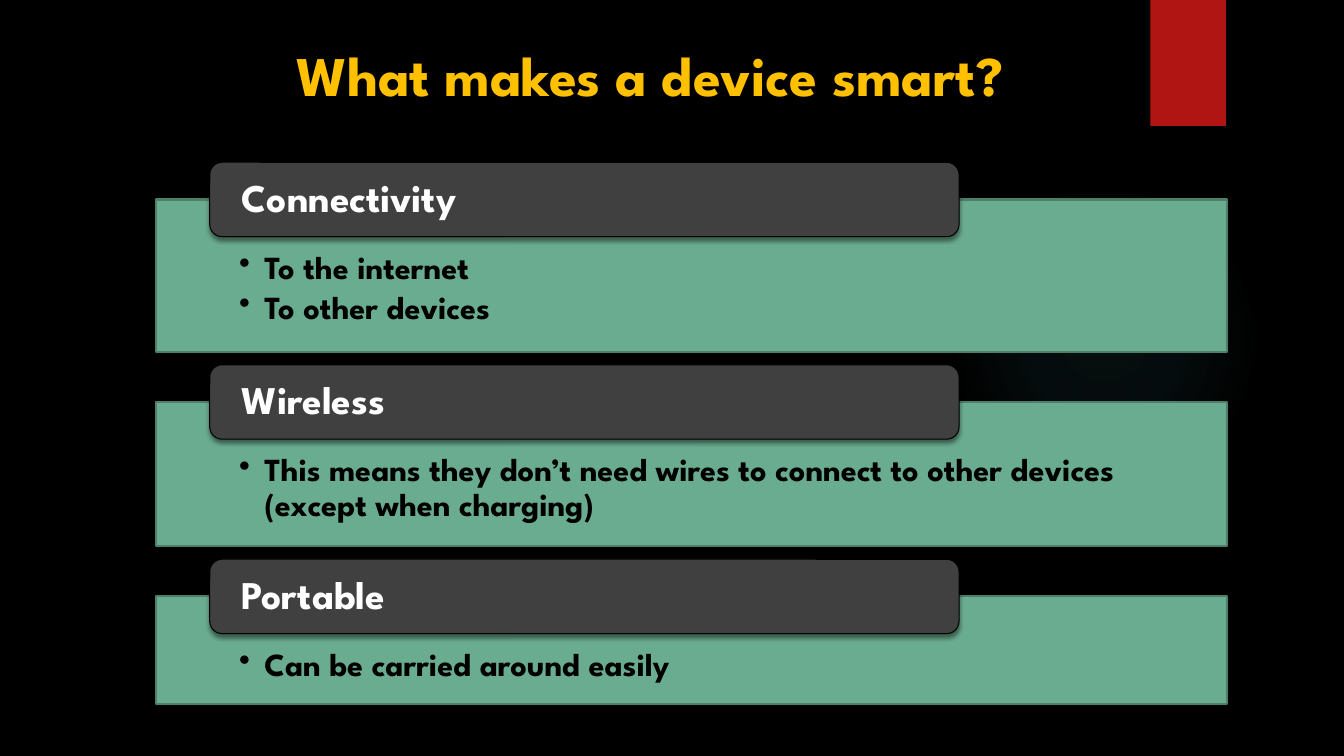
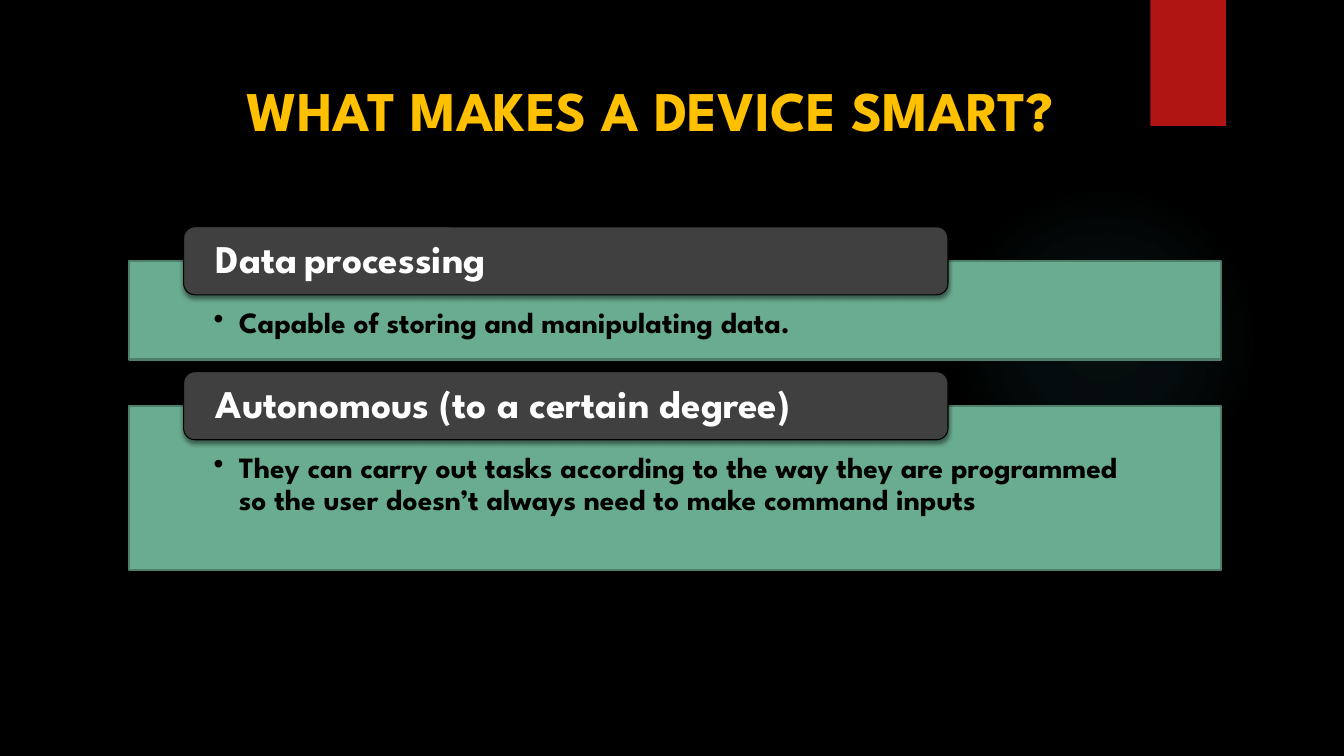
"""Build two slides on what makes a device smart."""
from dataclasses import dataclass
from lxml import etree
from pptx import Presentation, oxml, util as u
from pptx.dml.color import RGBColor as Rgb
from pptx.enum import shapes, text
from pptx.oxml import ns


@dataclass(frozen=True)
class Theme:
    face: str = "League Spartan"
    back: str = "000000"
    title: str = "FFC000"
    bar: str = "6AAC90"
    edge: str = "4E7F6B"
    tab: str = "404040"
    light: str = "FFFFFF"
    dark: str = "000000"
    ribbon: str = "B01513"
    glow: str = "50B9C1"
    big: int = 40
    head: int = 28


look = Theme()
deck = Presentation()
deck.slide_width, deck.slide_height = u.Inches(13.333), u.Inches(7.5)
COLS = 160
cell = deck.slide_width / COLS


def draw(page, kind, area, fill, line=None, width=0, shade=False):
    shape = page.shapes.add_shape(kind, *(int(n * cell) for n in area))
    shape.fill.solid()
    shape.fill.fore_color.rgb = Rgb.from_string(fill)
    if line:
        shape.line.color.rgb = Rgb.from_string(line)
        shape.line.width = u.Pt(width)
    else:
        shape.line.fill.background()
    shape.shadow.inherit = False
    if shade:
        list_ = shape._element.spPr.find(ns.qn("a:effectLst"))
        drop = etree.SubElement(list_, ns.qn("a:outerShdw"), blurRad=str(u.Pt(3)),
                                dist=str(u.Pt(2)), dir="5400000", rotWithShape="0")
        tint = etree.SubElement(drop, ns.qn("a:srgbClr"), val="000000")
        etree.SubElement(tint, ns.qn("a:alpha"), val="45000")
    return shape


def write(para, words, size, color, bold=True):
    run = para.add_run()
    run.text = words
    run.font.name, run.font.size, run.font.bold = look.face, u.Pt(size), bold
    run.font.color.rgb = Rgb.from_string(color)


master = deck.slide_master
master.background.fill.solid()
master.background.fill.fore_color.rgb = Rgb.from_string(look.back)
plan = deck.slide_layouts[5]

pages = [
    dict(title="What makes a device smart?", anchor=text.MSO_ANCHOR.TOP,
         left=18.6, wide=127.44, top=19.32, tab=8.86, gap=1.56, size=23,
         cards=[(["Connectivity"], ["To the internet", "To other devices"], 18.12),
                (["Wireless"], ["This means they don’t need wires to connect to other "
                                "devices (except when charging)"], 17.16),
                (["Portable"], ["Can be carried around easily"], 12.84)]),
    dict(title="WHAT MAKES A DEVICE SMART?", anchor=text.MSO_ANCHOR.MIDDLE,
         left=15.36, wide=130, top=27, tab=8.1, gap=1.45, size=21,
         cards=[(["Data", " ", "processing"],
                 ["Capable of storing and manipulating data."], 11.76),
                (["Autonomous (to a certain degree)"],
                 ["They can carry out tasks according to the way they are programmed "
                  "so the user doesn’t always need to make command inputs"], 19.56)]),
]

for num, data in enumerate(pages):
    page = deck.slides.add_slide(plan)
    if num == 0:
        glow = draw(page, shapes.MSO_SHAPE.OVAL, (112.92, 22, 37, 37), look.glow)
        stops = "".join(
            f'<a:gs pos="{pos}000"><a:srgbClr val="{look.glow}">'
            f'<a:alpha val="{alpha}000"/></a:srgbClr></a:gs>'
            for pos, alpha in ((0, 7), (36, 6), (69, 0)))
        blend = oxml.parse_xml(
            f'<a:gradFill {ns.nsdecls("a")}><a:gsLst>{stops}</a:gsLst>'
            '<a:path path="circle"><a:fillToRect l="50000" t="50000" r="50000" '
            'b="50000"/></a:path></a:gradFill>')
        props = glow._element.spPr
        props.replace(props.find(ns.qn("a:solidFill")), blend)
        ribbon = draw(page, shapes.MSO_SHAPE.RECTANGLE, (136.95, 0, 9, 15),
                      look.ribbon, shade=True)
        for spot, shape in enumerate((glow, ribbon), 2):
            plan.shapes._spTree.insert(spot, shape._element)

    title = page.shapes.title
    title.left, title.top, title.width, title.height = (
        int(n * cell) for n in (12.36, 4.2, 130, 17.64))
    frame = title.text_frame
    frame.auto_size = text.MSO_AUTO_SIZE.NONE
    frame.vertical_anchor = data["anchor"]
    para = frame.paragraphs[0]
    para.alignment = text.PP_ALIGN.CENTER
    write(para, data["title"], look.big, look.title)

    left, wide, tab, size = (data[key] for key in ("left", "wide", "tab", "size"))
    top = data["top"]
    for head, items, high in data["cards"]:
        start = top + tab / 2
        bar = draw(page, shapes.MSO_SHAPE.RECTANGLE, (left, start, wide, high),
                   look.bar, look.edge, 1.5)
        frame = bar.text_frame
        frame.vertical_anchor = text.MSO_ANCHOR.TOP
        frame.margin_left = frame.margin_right = int(wide * 0.0775 * cell)
        frame.margin_top, frame.margin_bottom = int(tab * 0.7 * cell), int(2 * cell)
        for spot, item in enumerate(items):
            para = frame.add_paragraph() if spot else frame.paragraphs[0]
            para.alignment = text.PP_ALIGN.LEFT
            para.line_spacing, para.space_after = 0.9, u.Pt(size * 0.15)
            props = para._p.get_or_add_pPr()
            props.set("marL", str(u.Inches(0.25)))
            props.set("indent", str(u.Inches(-0.25)))
            etree.SubElement(props, ns.qn("a:buChar"), char="•")
            write(para, item, size, look.dark)

        plate = draw(page, shapes.MSO_SHAPE.ROUNDED_RECTANGLE,
                     (left + wide * 0.05, top, wide * 0.7, tab),
                     look.tab, look.dark, 0.75, True)
        frame = plate.text_frame
        frame.vertical_anchor = text.MSO_ANCHOR.MIDDLE
        frame.margin_left = frame.margin_right = int(wide * 0.0265 * cell)
        frame.margin_top = frame.margin_bottom = 0
        para = frame.paragraphs[0]
        para.alignment, para.line_spacing = text.PP_ALIGN.LEFT, 0.9
        for word in head:
            solid = bool(word.strip())
            write(para, word, look.head if solid else size, look.light, solid)
        top = start + high + data["gap"]

deck.save("out.pptx")
